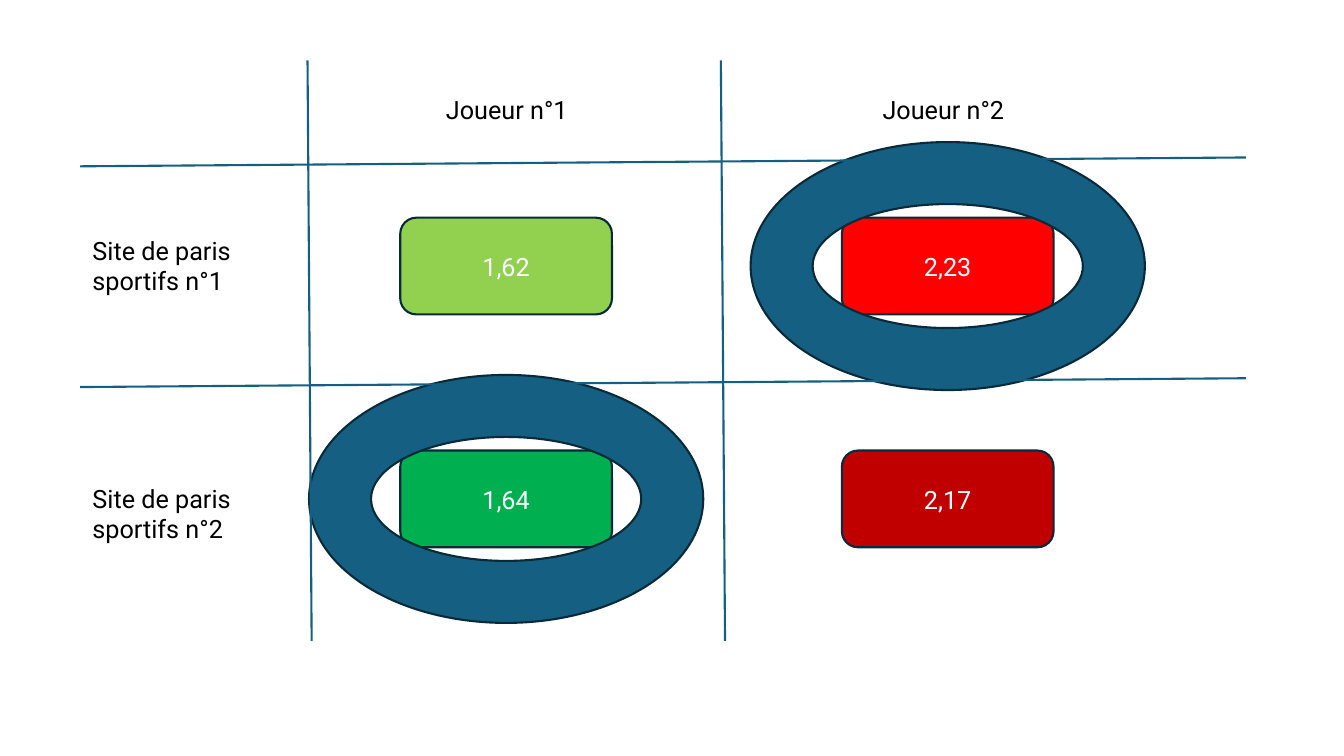
from dataclasses import dataclass

from lxml import etree
from pptx import Presentation
from pptx.dml.color import RGBColor
from pptx.enum.shapes import MSO_CONNECTOR, MSO_SHAPE
from pptx.enum.text import MSO_ANCHOR, MSO_AUTO_SIZE, PP_ALIGN
from pptx.oxml.ns import qn
from pptx.util import Inches, Pt

STRAIGHT = MSO_CONNECTOR.STRAIGHT
ROUNDED, RING = MSO_SHAPE.ROUNDED_RECTANGLE, MSO_SHAPE.DONUT
MIDDLE, GROW = MSO_ANCHOR.MIDDLE, MSO_AUTO_SIZE.SHAPE_TO_FIT_TEXT
CENTER, LEFT = PP_ALIGN.CENTER, PP_ALIGN.LEFT

BLACK = RGBColor(0x00, 0x00, 0x00)
WHITE = RGBColor(0xFF, 0xFF, 0xFF)
BLUE = RGBColor(0x15, 0x60, 0x82)
OUTLINE = RGBColor(0x09, 0x2A, 0x39)
LIGHT_GREEN = RGBColor(0x92, 0xD0, 0x50)
GREEN = RGBColor(0x00, 0xB0, 0x50)
RED = RGBColor(0xFF, 0x00, 0x00)
DARK_RED = RGBColor(0xC0, 0x00, 0x00)

FONT = {"name": "Roboto", "size": Pt(18)}
ODDS_FRAME = {"vertical_anchor": MIDDLE, "word_wrap": True}
LABEL_FRAME = {"word_wrap": True, "auto_size": GROW}
LINE_WIDTH = Pt(1.5)


@dataclass
class Grid:
    left: float
    top: float
    column: float
    row: float

    def point(self, column, row):
        return (Inches(self.left + column * self.column),
                Inches(self.top + row * self.row))


ODDS_GRID = Grid(5.02, 2.64, 4.38, 2.31)
LABEL_GRID = Grid(5.06, 2.64, 4.33, 2.46)
RULE_GRID = Grid(3.05, 1.65, 4.1, 2.19)

ODDS_SIZE = (2.1, 0.96)
RING_SIZE = (3.91, 2.46)
PLAYER_SIZE = (1.47, 0.4)
SITE_SIZE = (1.64, 0.71)

ODDS = [[("1,62", LIGHT_GREEN), ("2,23", RED)],
        [("1,64", GREEN), ("2,17", DARK_RED)]]
BEST_ODDS = [(1, 0), (0, 1)]


def assign(target, values):
    for attribute, value in values.items():
        setattr(target, attribute, value)


class OddsSlide:
    """Draws the parts of an odds grid on one slide in a shared style."""

    def __init__(self, slide):
        self.shapes = slide.shapes

    def box(self, grid, cell, size):
        x, y = grid.point(*cell)
        width, height = map(Inches, size)
        return x - width // 2, y - height // 2, width, height

    def set_text(self, shape, text, frame_format, color, alignment):
        frame = shape.text_frame
        assign(frame, frame_format)
        paragraph = frame.paragraphs[0]
        paragraph.alignment = alignment
        run = paragraph.add_run()
        run.text = text
        assign(run.font, FONT)
        run.font.color.rgb = color

    def figure(self, kind, cell, size, color):
        shape = self.shapes.add_shape(kind, *self.box(ODDS_GRID, cell, size))
        shape.shadow.inherit = False
        shape.fill.solid()
        shape.fill.fore_color.rgb = color
        shape.line.color.rgb = OUTLINE
        shape.line.width = LINE_WIDTH
        return shape

    def odds(self, cell, value, color):
        button = self.figure(ROUNDED, cell, ODDS_SIZE, color)
        self.set_text(button, value, ODDS_FRAME, WHITE, CENTER)

    def ring(self, cell):
        self.figure(RING, cell, RING_SIZE, BLUE)

    def label(self, cell, size, text):
        label = self.shapes.add_textbox(*self.box(LABEL_GRID, cell, size))
        self.set_text(label, text, LABEL_FRAME, BLACK, LEFT)

    def rule(self, start, end):
        rule = self.shapes.add_connector(
            STRAIGHT, *RULE_GRID.point(*start), *RULE_GRID.point(*end))
        rule.line.color.rgb = BLUE
        rule.line.width = LINE_WIDTH
        etree.SubElement(rule._element.spPr, qn("a:effectLst"))


def main():
    presentation = Presentation()
    presentation.slide_width = Inches(13.33)
    presentation.slide_height = Inches(7.5)
    blank = presentation.slide_layouts[6]
    board = OddsSlide(presentation.slides.add_slide(blank))

    for site, site_odds in enumerate(ODDS):
        for player, (value, color) in enumerate(site_odds):
            board.odds((player, site), value, color)
    for index in range(2):
        board.label((index, -0.63), PLAYER_SIZE, f"Joueur n°{index + 1}")
        board.label((-0.79, index), SITE_SIZE,
                    f"Site de paris sportifs n°{index + 1}")
    for cell in BEST_ODDS:
        board.ring(cell)
    for index in range(2):
        board.rule((-0.55, index), (2.27, index - 0.04))
        board.rule((index, -0.48), (index + 0.01, 2.15))

    presentation.save("out.pptx")


if __name__ == "__main__":
    main()
